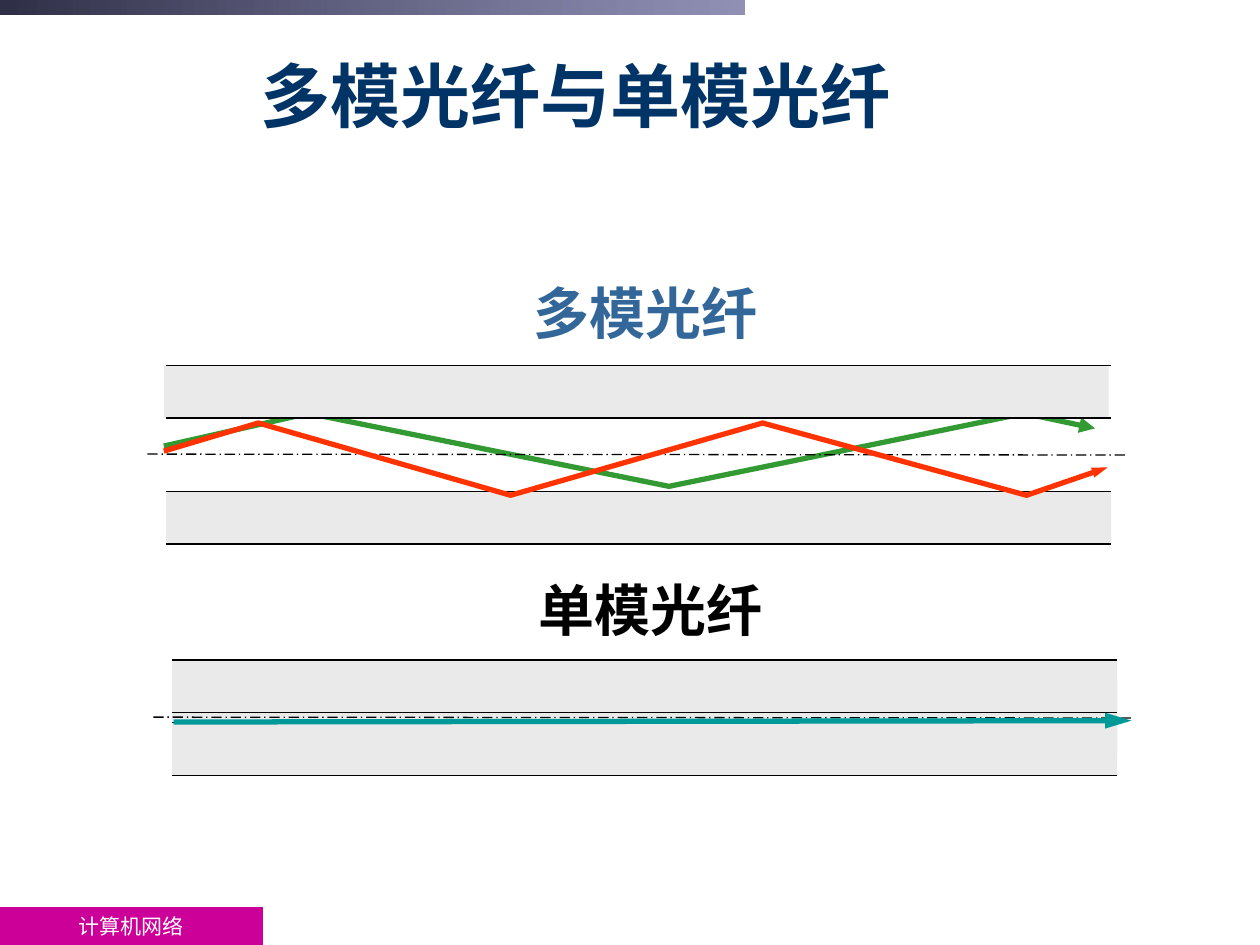
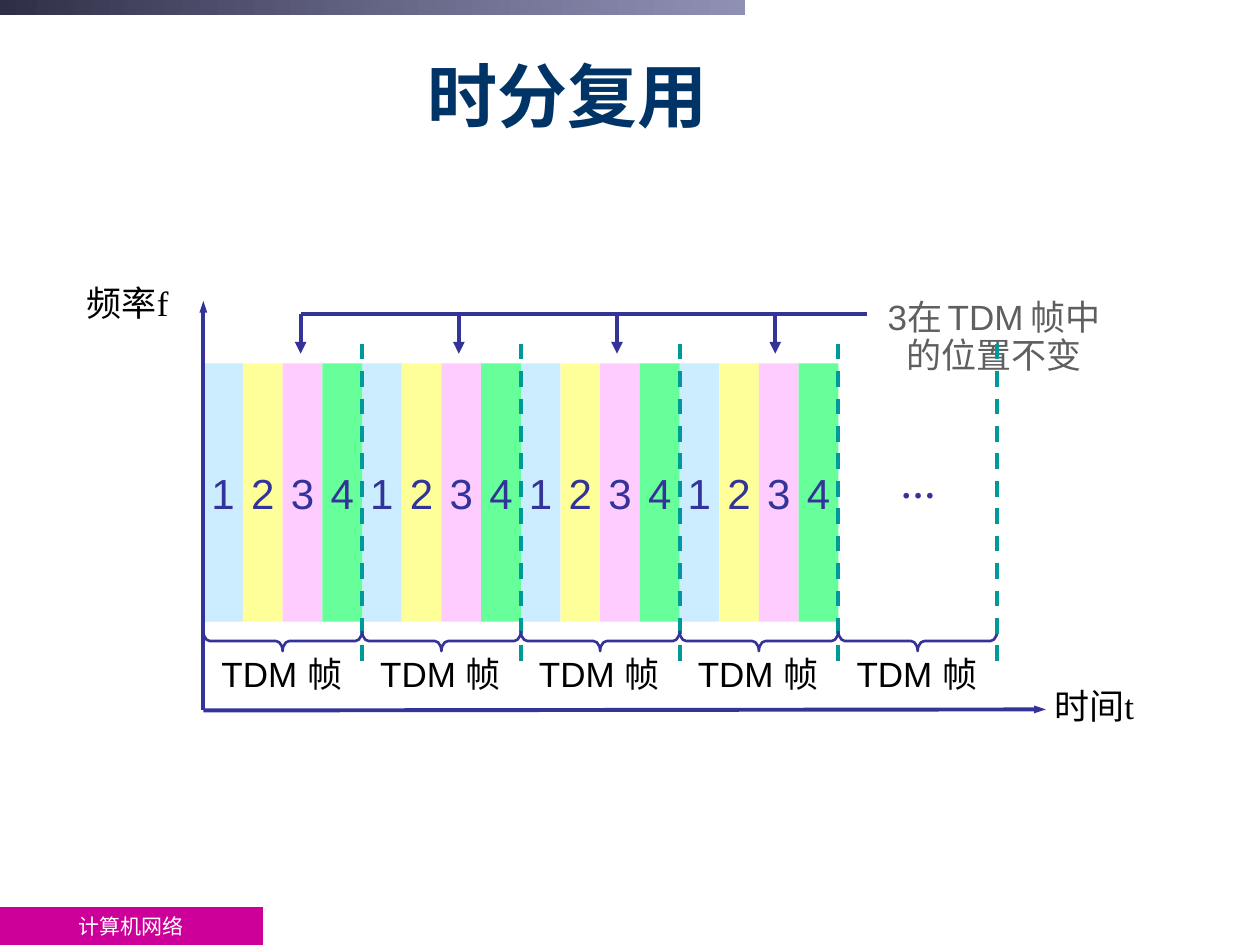
from dataclasses import dataclass
from typing import Any, Optional

from lxml import etree
from pptx import Presentation
from pptx.dml.color import RGBColor
from pptx.enum import dml, shapes, text as t
from pptx.oxml.ns import qn
from pptx.util import Pt

COLORS = {
    "title": "003366", "footer": "CC0099", "white": "FFFFFF", "black": "000000",
    "band_start": "2F2F47", "band_end": "666699", "cladding": "EAEAEA",
    "multimode": "336699", "green_ray": "339933", "red_ray": "FF3300",
    "teal": "009999", "indigo": "333399", "note": "5F5F5F",
    "slot1": "CCECFF", "slot2": "FFFF99", "slot3": "FFCCFF", "slot4": "66FF99",
}
DASH = dml.MSO_LINE_DASH_STYLE
CENTER = t.PP_ALIGN.CENTER
MIDDLE = t.MSO_ANCHOR.MIDDLE
RECT = shapes.MSO_SHAPE.RECTANGLE


@dataclass(frozen=True)
class Box:
    left: float
    top: float
    width: float
    height: float

    def points(self) -> tuple:
        return Pt(self.left), Pt(self.top), Pt(self.width), Pt(self.height)


@dataclass(frozen=True)
class Stroke:
    color: str
    width: float
    dash: Optional[Any] = None
    head: Optional[tuple[str, str]] = None


@dataclass(frozen=True)
class Fiber:
    left: float
    claddings: tuple[Box, ...]
    edges: tuple[float, ...]
    axis: float


@dataclass(frozen=True)
class Ray:
    points: tuple[tuple[float, float], ...]
    stroke: Stroke


EDGE = Stroke("black", 0.75)
AXIS = Stroke("black", 0.75, DASH.LONG_DASH_DOT)
TIME_AXIS = Stroke("indigo", 2.25, head=("sm", "med"))
DROP = Stroke("indigo", 2.25, head=("med", "med"))
DIVIDER = Stroke("teal", 2.25, DASH.DASH)
FIBER_LENGTH = 540

MULTIMODE = Fiber(
    95, (Box(93.6, 208.8, 540, 30.2), Box(95, 280.8, 540, 30.2)),
    (208.8, 238.9, 280.8, 310.9), 259.5)
SINGLE_MODE = Fiber(
    98.4, (Box(98.4, 388.8, 540, 41.8), Box(98.4, 377.1, 540, 30.2), Box(98.4, 413, 540, 30.2)),
    (377.1, 407.1, 413, 443.1), 409.8)
GREEN_RAY = Ray(
    ((93.6, 254.9), (176.4, 236.2), (382.3, 277.9), (585.4, 236.2), (625.7, 244.8)),
    Stroke("green_ray", 3, head=("med", "med")))
RED_RAY = Ray(
    ((93.6, 257.8), (147.6, 241.7), (291.8, 283), (435.8, 241.7), (586.6, 283), (632.9, 267.1)),
    Stroke("red_ray", 3, head=("sm", "med")))


def rgb(name: str) -> RGBColor:
    return RGBColor.from_string(COLORS[name])


def write(shape: Any, content: str, *, size: float, color: str, font: str = "Arial",
          bold: bool = False, align: Any = None, anchor: Any = t.MSO_ANCHOR.TOP,
          spacing: Optional[float] = None, wrap: bool = True, grow: bool = False,
          space_size: Optional[float] = None) -> None:
    frame = shape.text_frame
    frame.word_wrap = wrap
    frame.auto_size = t.MSO_AUTO_SIZE.SHAPE_TO_FIT_TEXT if grow else t.MSO_AUTO_SIZE.NONE
    frame.vertical_anchor = anchor
    for index, line in enumerate(content.split("\n")):
        paragraph = frame.add_paragraph() if index else frame.paragraphs[0]
        paragraph.alignment = align
        paragraph.line_spacing = spacing
        words = line.split(" ") if space_size else [line]
        pieces = [(words[0], size)]
        for word in words[1:]:
            pieces += [(" ", space_size), (word, size)]
        for piece, piece_size in pieces:
            run = paragraph.add_run()
            run.text = piece
            run.font.name = font
            run.font.size = Pt(piece_size)
            run.font.bold = bold
            run.font.color.rgb = rgb(color)


def add_label(slide: Any, box: Box, content: str, **style: Any) -> None:
    write(slide.shapes.add_textbox(*box.points()), content, **style)


def add_rect(slide: Any, box: Box, fill: str) -> Any:
    rect = slide.shapes.add_shape(RECT, *box.points())
    rect.shadow.inherit = False
    rect.fill.solid()
    rect.fill.fore_color.rgb = rgb(fill)
    rect.line.fill.background()
    return rect


def apply_stroke(line: Any, stroke: Stroke) -> None:
    line.color.rgb = rgb(stroke.color)
    line.width = Pt(stroke.width)
    if stroke.dash:
        line.dash_style = stroke.dash
    if stroke.head:
        width, length = stroke.head
        etree.SubElement(line._get_or_add_ln(), qn("a:tailEnd"),
                         type="triangle", w=width, len=length)


def add_line(slide: Any, x1: float, y1: float, x2: float, y2: float, stroke: Stroke) -> None:
    connector = slide.shapes.add_connector(
        shapes.MSO_CONNECTOR.STRAIGHT, Pt(x1), Pt(y1), Pt(x2), Pt(y2))
    apply_stroke(connector.line, stroke)
    etree.SubElement(connector._element.spPr, qn("a:effectLst"))


def add_ray(slide: Any, ray: Ray) -> None:
    start, *bounces = [(Pt(x), Pt(y)) for x, y in ray.points]
    builder = slide.shapes.build_freeform(*start)
    builder.add_line_segments(bounces, close=False)
    path = builder.convert_to_shape()
    path.shadow.inherit = False
    path.fill.background()
    apply_stroke(path.line, ray.stroke)


def add_brace(slide: Any, center: float, middle: float, span: float, depth: float) -> None:
    box = Box(center - depth / 2, middle - span / 2, depth, span)
    brace = slide.shapes.add_shape(shapes.MSO_SHAPE.LEFT_BRACE, *box.points())
    brace.rotation = 270
    brace.adjustments[0] = 0.33
    brace.shadow.inherit = False
    brace.fill.background()
    apply_stroke(brace.line, Stroke("indigo", 1.5))


def add_fiber(slide: Any, fiber: Fiber) -> None:
    for cladding in fiber.claddings:
        add_rect(slide, cladding, "cladding")
    for edge in fiber.edges:
        add_line(slide, fiber.left, edge, fiber.left + FIBER_LENGTH, edge, EDGE)
    add_line(slide, fiber.left - 10.8, fiber.axis, fiber.left + 548.7, fiber.axis + 0.5, AXIS)


def new_slide(deck: Any, heading: str) -> Any:
    slide = deck.slides.add_slide(deck.slide_layouts[5])
    footer = add_rect(slide, Box(0, 518.4, 150.2, 21.6), "footer")
    write(footer, "计算机网络", size=12, color="white", font="Times New Roman",
          align=CENTER, anchor=MIDDLE)
    band = add_rect(slide, Box(0, 0, 425.5, 8.6), "band_start")
    band.fill.gradient()
    band.fill.gradient_angle = 0
    for stop, color in zip(band.fill.gradient_stops, ("band_start", "band_end")):
        stop.color.rgb = rgb(color)
    end_color = list(band._element.spPr.iter(qn("a:srgbClr")))[-1]
    etree.SubElement(end_color, qn("a:alpha"), val="72000")
    title = slide.shapes.title
    title.left, title.top, title.width, title.height = Box(14.2, 20.7, 629.3, 67).points()
    write(title, heading, size=40, color="title", bold=True, align=CENTER, anchor=MIDDLE)
    return slide


def build_fibers(deck: Any) -> None:
    slide = new_slide(deck, "多模光纤与单模光纤")
    heading = dict(size=32, font="Cabin", bold=True, wrap=False, grow=True)
    add_fiber(slide, SINGLE_MODE)
    add_label(slide, Box(300.6, 325.4, 142.6, 46), "单模光纤", color="black", **heading)
    add_ray(slide, GREEN_RAY)
    add_fiber(slide, MULTIMODE)
    add_line(slide, 99.2, 412.6, 646.6, 411.8, Stroke("teal", 3, head=("med", "lg")))
    add_ray(slide, RED_RAY)
    add_label(slide, Box(298, 155.5, 142.6, 46), "多模光纤", color="multimode", **heading)


def build_tdm(deck: Any) -> None:
    slide = new_slide(deck, "时分复用 ")
    origin, baseline = 116.2, 406
    frame_width, frame_count, slot_count = 90.72, 5, 4
    slot_width = frame_width / slot_count
    axis_label = dict(size=20, color="black", font="Times New Roman", spacing=0.9, grow=True)
    add_line(slide, origin, baseline, 597.6, 405.4, TIME_AXIS)
    add_label(slide, Box(42.5, 160, 80.6, 28.8), "频率f", **axis_label)
    add_label(slide, Box(595.4, 390.2, 64.8, 28.8), "时间t", wrap=False, **axis_label)

    for number in range(1, slot_count + 1):
        for frame in range(frame_count - 1):
            left = origin + frame * frame_width + (number - 1) * slot_width
            slot = add_rect(slide, Box(left, 207.6, slot_width, 147.6), f"slot{number}")
            write(slot, str(number), size=24, color="indigo", align=CENTER,
                  anchor=MIDDLE, wrap=False)

    add_label(slide, Box(492.5, 168, 151.2, 50.4), "3在 TDM 帧中\n的位置不变", size=20,
              space_size=14, color="note", align=CENTER, spacing=0.9, wrap=False, grow=True)
    add_line(slide, 171.8, 179.3, 495.2, 179.3, Stroke("indigo", 2.25))
    for index in range(frame_count - 1):
        drop = 171.8 + index * 90.4
        add_line(slide, drop, 179.3, drop, 202.1, DROP)
    add_label(slide, Box(507.6, 261.4, 34.6, 31), "…", size=20, color="indigo",
              font="Times New Roman", bold=True, grow=True)
    add_line(slide, origin, baseline, origin, 172, TIME_AXIS)

    for index in range(frame_count):
        left = origin + index * frame_width
        right = left + frame_width
        add_label(slide, Box(left + 3.3, 372.2, 100, 28.8), "TDM 帧", size=20, color="black",
                  spacing=0.9)
        add_brace(slide, left + frame_width / 2, 366.3, frame_width, 11.5)
        add_line(slide, right, 196.4, right, 383, DIVIDER)


def main() -> None:
    deck = Presentation()
    deck.slide_width, deck.slide_height = Pt(720), Pt(540)
    build_fibers(deck)
    build_tdm(deck)
    deck.save("out.pptx")


if __name__ == "__main__":
    main()
